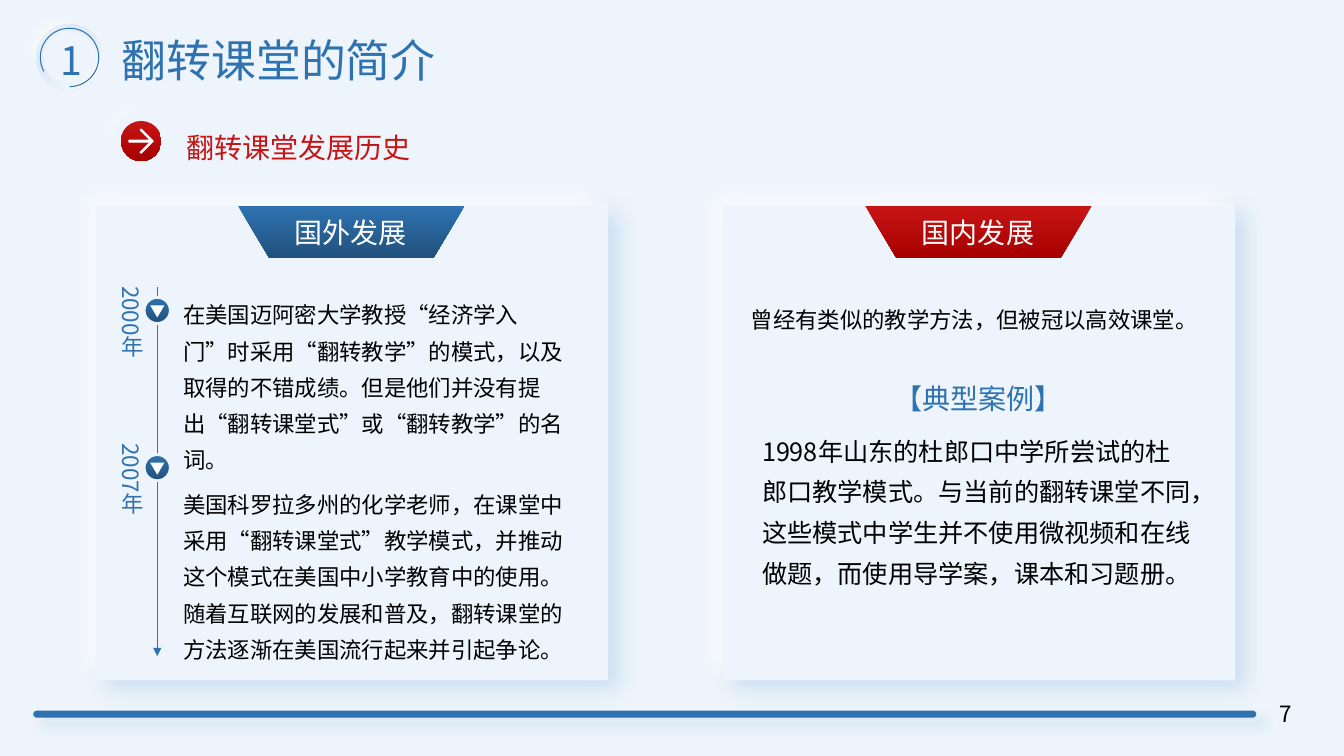
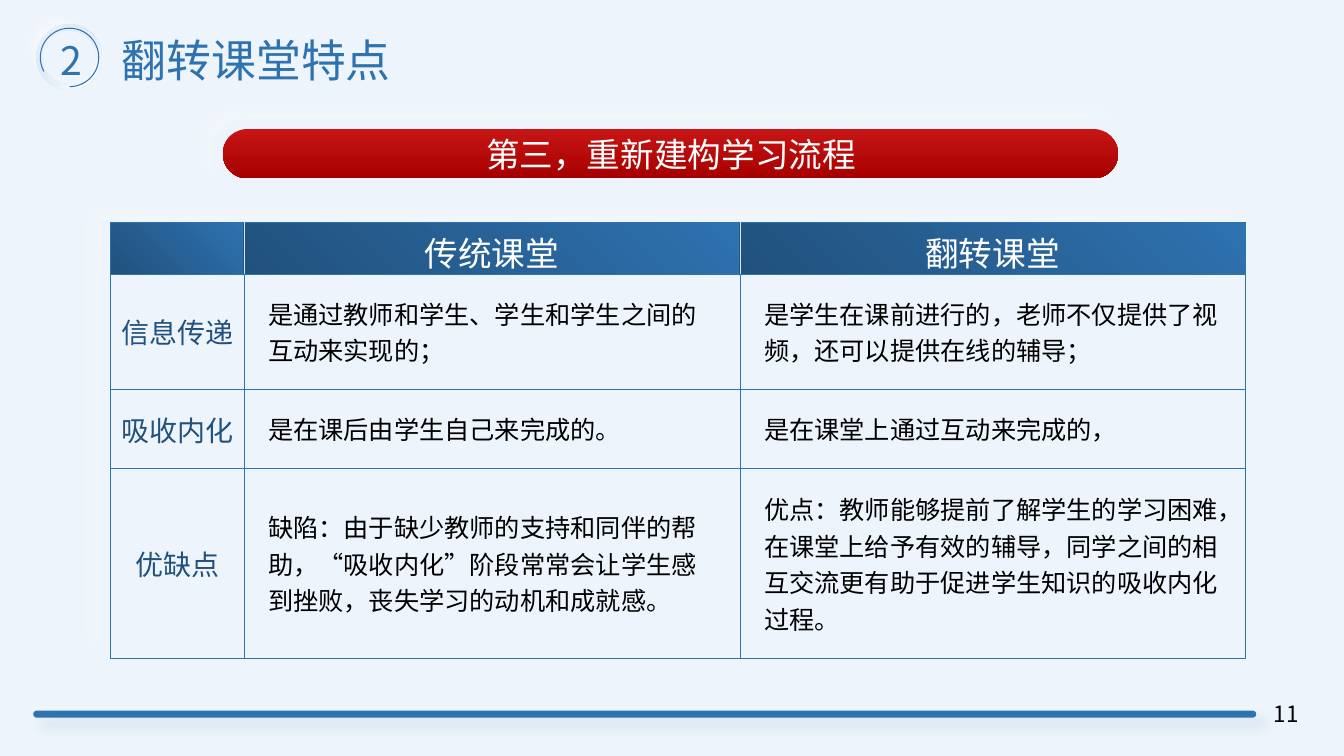
from dataclasses import dataclass

from lxml.etree import SubElement
from pptx import Presentation
from pptx.dml.color import RGBColor
from pptx.enum.shapes import MSO_CONNECTOR, MSO_SHAPE
from pptx.enum.text import MSO_ANCHOR, PP_ALIGN
from pptx.oxml import parse_xml
from pptx.oxml.ns import nsdecls, qn
from pptx.util import Inches, Pt


@dataclass(frozen=True)
class Theme:
    font: str = "Noto Sans CJK SC"
    paper: str = "EDF4FB"
    blue: str = "2E72B0"
    navy: str = "21517D"
    red: str = "C71515"
    dark_red: str = "A70000"
    white: str = "FFFFFF"
    black: str = "000000"
    pale_blue: str = "C1D9F1"
    shade_blue: str = "9DC3E6"
    divider: str = "DAE3F3"
    title: int = 32
    number: int = 28
    banner: int = 24
    heading: int = 20
    body: int = 18
    small: int = 16


THEME = Theme()
BLUE_GRADIENT = (THEME.blue, THEME.navy)
RED_GRADIENT = (THEME.red, THEME.dark_red)
# Shadows: colour, opacity %, distance pt, blur pt, direction in degrees
BAR_SHADOW = (THEME.blue, 16, 8, 8, 45)
CARD_SHADOW = (THEME.shade_blue, 41, 11, 15, 45)
CARD_GLOW = (THEME.white, 66, 12, 15, 225)
SOFT_GLOW = (THEME.white, 29, 12, 15, 225)


def rgb(value):
    return RGBColor.from_string(value)


def set_all(target, values):
    for name, value in values.items():
        setattr(target, name, value)


def paint(fill, colour, angle=270):
    """Fill with one colour, a (start, end) gradient, or nothing."""
    if colour is None:
        fill.background()
    elif isinstance(colour, tuple):
        fill.gradient()
        fill.gradient_angle = angle
        for stop, value in zip(fill.gradient_stops, colour):
            stop.color.rgb = rgb(value)
    else:
        fill.solid()
        fill.fore_color.rgb = rgb(colour)


def draw_line(line, colour, width):
    paint(line.fill, colour)
    if colour:
        line.width = Pt(width)


def cast_shadow(shape, shadow):
    colour, opacity, distance, blur, direction = shadow
    effects = shape._element.spPr.find(qn("a:effectLst"))
    outer = SubElement(effects, qn("a:outerShdw"), blurRad=str(Pt(blur)),
                       dist=str(Pt(distance)), dir=str(direction * 60000),
                       algn="ctr", rotWithShape="0")
    tint = SubElement(outer, qn("a:srgbClr"), val=colour)
    SubElement(tint, qn("a:alpha"), val=str(opacity * 1000))


def add_figure(page, kind, box, fill, line=None, width=0.75, shadow=None,
               adjust=(), flip=False, angle=270):
    shape = page.shapes.add_shape(kind, *map(Inches, box))
    for index, value in enumerate(adjust):
        shape.adjustments[index] = value
    paint(shape.fill, fill, angle)
    draw_line(shape.line, line, width)
    shape.shadow.inherit = False
    if shadow:
        cast_shadow(shape, shadow)
    if flip:
        shape._element.spPr.xfrm.set("flipV", "1")
    return shape


def write(frame, texts, size, colour, align=PP_ALIGN.LEFT, spacing=None, gap=6):
    for index, text in enumerate(texts):
        para = frame.add_paragraph() if index else frame.paragraphs[0]
        set_all(para, {"alignment": align, "line_spacing": spacing})
        if index:
            para.space_before = Pt(gap)
        span = para.add_run()
        span.text = text
        set_all(span.font, {"name": THEME.font, "size": Pt(size)})
        span.font.color.rgb = rgb(colour)
        SubElement(span._r.get_or_add_rPr(), qn("a:ea"), typeface=THEME.font)


def add_text(page, box, texts, size, colour, align=PP_ALIGN.LEFT, spacing=None,
             wrap=True, vertical=False):
    frame = page.shapes.add_textbox(*map(Inches, box)).text_frame
    frame.word_wrap = wrap
    if vertical:
        frame._txBody.bodyPr.set("vert", "eaVert")
    write(frame, texts, size, colour, align, spacing)


def add_number_badge(page, left, top, number):
    add_figure(page, MSO_SHAPE.OVAL, (left, top, 0.65, 0.65),
               (THEME.pale_blue, THEME.white), angle=315)
    add_figure(page, MSO_SHAPE.OVAL, (left + 0.07, top + 0.07, 0.52, 0.52),
               THEME.paper, shadow=CARD_GLOW)
    add_figure(page, MSO_SHAPE.ARC, (left + 0.04, top + 0.04, 0.58, 0.58),
               None, THEME.blue, adjust=(90.93, 53.98))
    add_text(page, (left + 0.14, top + 0.07, 0.34, 0.57), [number],
             THEME.number, THEME.blue, PP_ALIGN.CENTER, wrap=False)


def add_page(deck, section, title, page_number):
    """Add a page with the background, title and footer that all pages share."""
    page = deck.slides.add_slide(deck.slide_layouts[6])
    paint(page.background.fill, THEME.paper)
    add_figure(page, MSO_SHAPE.ROUNDED_RECTANGLE, (0.33, 7.05, 12.13, 0.07),
               THEME.blue, shadow=BAR_SHADOW, adjust=(0.5,))
    add_text(page, (12.4, 6.9, 0.71, 0.4), [page_number], THEME.small,
             THEME.black, PP_ALIGN.CENTER)
    add_number_badge(page, 0.36, 0.24, section)
    add_text(page, (1.11, 0.28, 3.58, 0.64), [title], THEME.title, THEME.blue)
    return page


def add_arrow_heading(page, left, top, text):
    add_text(page, (left + 0.64, top + 0.14, 6.67, 0.44), [text],
             THEME.heading, THEME.red)
    add_figure(page, MSO_SHAPE.ROUNDED_RECTANGLE, (left, top, 0.57, 0.57),
               THEME.paper, shadow=SOFT_GLOW, adjust=(0.5,))
    add_figure(page, MSO_SHAPE.ROUNDED_RECTANGLE,
               (left + 0.09, top + 0.09, 0.4, 0.4), RED_GRADIENT, adjust=(0.5,))
    outline = [(0, 0.11), (0.21, 0.11), (0.11, 0.01), (0.12, 0), (0.24, 0.12),
               (0.12, 0.24), (0.11, 0.23), (0.21, 0.13), (0, 0.13)]
    points = [(Inches(left + 0.17 + x), Inches(top + 0.17 + y)) for x, y in outline]
    builder = page.shapes.build_freeform(*points[0])
    builder.add_line_segments(points[1:], close=True)
    arrow = builder.convert_to_shape()
    paint(arrow.fill, THEME.white)
    draw_line(arrow.line, THEME.white, 0.75)
    arrow.shadow.inherit = False


def add_card(page, left, top, heading, gradient):
    add_figure(page, MSO_SHAPE.RECTANGLE, (left, top - 0.03, 5.08, 4.71),
               THEME.paper, shadow=CARD_SHADOW)
    add_figure(page, MSO_SHAPE.RECTANGLE, (left, top, 5.08, 4.71),
               THEME.paper, shadow=CARD_GLOW)
    add_figure(page, MSO_SHAPE.TRAPEZOID, (left + 1.41, top, 2.25, 0.52),
               gradient, adjust=(0.6,), flip=True, angle=90)
    add_text(page, (left + 1.84, top + 0.05, 1.38, 0.44), [heading],
             THEME.heading, THEME.white, PP_ALIGN.CENTER)


def add_timeline(page, left, top, length, events):
    """Draw a downward arrow with (offset, year) marks beside it."""
    axis = page.shapes.add_connector(
        MSO_CONNECTOR.STRAIGHT,
        *map(Inches, (left, top, left, top + length)))
    draw_line(axis.line, THEME.blue, 1)
    SubElement(axis.line._get_or_add_ln(), qn("a:tailEnd"), type="triangle")
    SubElement(axis._element.spPr, qn("a:effectLst"))
    for offset, year in events:
        mark = top + offset
        add_text(page, (left - 0.54, mark - 0.21, 0.47, 1.01), [year],
                 THEME.small, THEME.blue, vertical=True)
        add_figure(page, MSO_SHAPE.OVAL, (left - 0.13, mark, 0.26, 0.26),
                   BLUE_GRADIENT, THEME.paper, 2)
        add_figure(page, MSO_SHAPE.ISOSCELES_TRIANGLE,
                   (left - 0.07, mark + 0.08, 0.14, 0.12), THEME.white, flip=True)


def add_banner(page, left, top, text):
    add_figure(page, MSO_SHAPE.ROUNDED_RECTANGLE, (left, top, 9.14, 0.71),
               THEME.paper, shadow=SOFT_GLOW, adjust=(0.5,))
    add_figure(page, MSO_SHAPE.ROUNDED_RECTANGLE,
               (left + 0.11, top + 0.1, 8.88, 0.49), RED_GRADIENT, adjust=(0.5,))
    add_text(page, (left + 1.22, top + 0.1, 6.67, 0.5), [text], THEME.banner,
             THEME.white, PP_ALIGN.CENTER)


def add_borders(cell, colours):
    """Give the left, right, top and bottom sides of a cell their colours."""
    properties = cell._tc.get_or_add_tcPr()
    for index, (side, colour) in enumerate(zip("LRTB", colours)):
        properties.insert(index, parse_xml(
            f'<a:ln{side} {nsdecls("a")} w="{Pt(0.75)}"><a:solidFill>'
            f'<a:srgbClr val="{colour}"/></a:solidFill></a:ln{side}>'))


def add_comparison(page, left, top, widths, heights, rows):
    box = (left, top, sum(widths), sum(heights))
    add_figure(page, MSO_SHAPE.RECTANGLE,
               (left - 0.11, top - 0.02, box[2] + 0.11, box[3] + 0.02),
               THEME.paper, shadow=SOFT_GLOW)
    table = page.shapes.add_table(len(rows), len(widths), *map(Inches, box)).table
    set_all(table, {"first_row": False, "horz_banding": False})
    for column, width in zip(table.columns, widths):
        column.width = Inches(width)
    for row, height in zip(table.rows, heights):
        row.height = Inches(height)
    last = len(widths) - 1
    for r, texts in enumerate(rows):
        for c, text in enumerate(texts):
            cell = table.cell(r, c)
            cell.vertical_anchor = MSO_ANCHOR.MIDDLE
            if c:
                set_all(cell, {"margin_left": Inches(0.24),
                               "margin_right": Inches(0.24)})
            if r == 0:
                style = (THEME.banner, THEME.white, PP_ALIGN.CENTER)
            elif c == 0:
                style = (THEME.heading, THEME.navy, PP_ALIGN.CENTER)
            else:
                style = (THEME.body, THEME.black, PP_ALIGN.LEFT)
            if text:
                write(cell.text_frame, [text], *style)
            paint(cell.fill, None if r else BLUE_GRADIENT, 225)
            inner = THEME.blue if r else THEME.divider
            add_borders(cell, (inner if c else THEME.blue,
                               inner if c < last else THEME.blue,
                               THEME.blue, THEME.blue))


def build_history(deck):
    page = add_page(deck, "1", "翻转课堂的简介", "7")
    add_arrow_heading(page, 1.11, 1.11, "翻转课堂发展历史")
    abroad, home, top = 0.95, 7.17, 2.04
    add_card(page, abroad, top, "国外发展", BLUE_GRADIENT)
    add_text(page, (abroad + 0.77, top + 0.81, 4.09, 3.43), [
        "在美国迈阿密大学教授“经济学入门”时采用“翻转教学”的模式，以及取得的不错成绩。"
        "但是他们并没有提出“翻转课堂式”或“翻转教学”的名词。",
        "美国科罗拉多州的化学老师，在课堂中采用“翻转课堂式”教学模式，并推动这个模式在"
        "美国中小学教育中的使用。随着互联网的发展和普及，翻转课堂的方法逐渐在美国流行起来"
        "并引起争论。",
    ], THEME.small, THEME.black, spacing=1.35)
    add_timeline(page, abroad + 0.61, top + 0.81, 3.66,
                 [(0.1, "2000年"), (1.66, "2007年")])
    add_card(page, home, top, "国内发展", RED_GRADIENT)
    add_text(page, (home + 0.18, top + 0.86, 4.71, 0.44),
             ["曾经有类似的教学方法，但被冠以高效课堂。"],
             THEME.small, THEME.black, spacing=1.35)
    add_text(page, (home + 1.41, top + 1.7, 2.25, 0.44), ["【典型案例】"],
             THEME.heading, THEME.blue, PP_ALIGN.CENTER)
    add_text(page, (home + 0.29, top + 2.13, 4.49, 1.71), [
        "1998年山东的杜郎口中学所尝试的杜郎口教学模式。与当前的翻转课堂不同，"
        "这些模式中学生并不使用微视频和在线做题，而使用导学案，课本和习题册。",
    ], THEME.body, THEME.black, spacing=1.35)


def build_features(deck):
    page = add_page(deck, "2", "翻转课堂特点", "11")
    add_banner(page, 2.1, 1.18, "第三，重新建构学习流程")
    add_comparison(page, 1.1, 2.21, (1.32, 4.92, 5.01), (0.51, 1.14, 0.79, 1.88), [
        ("", "传统课堂", "翻转课堂"),
        ("信息传递", "是通过教师和学生、学生和学生之间的互动来实现的；",
         "是学生在课前进行的，老师不仅提供了视频，还可以提供在线的辅导；"),
        ("吸收内化", "是在课后由学生自己来完成的。", "是在课堂上通过互动来完成的，"),
        ("优缺点",
         "缺陷：由于缺少教师的支持和同伴的帮助，“吸收内化”阶段常常会让学生感到挫败，"
         "丧失学习的动机和成就感。",
         "优点：教师能够提前了解学生的学习困难，在课堂上给予有效的辅导，"
         "同学之间的相互交流更有助于促进学生知识的吸收内化过程。"),
    ])


def main():
    deck = Presentation()
    set_all(deck, {"slide_width": Inches(13.33), "slide_height": Inches(7.5)})
    build_history(deck)
    build_features(deck)
    deck.save("out.pptx")


if __name__ == "__main__":
    main()
